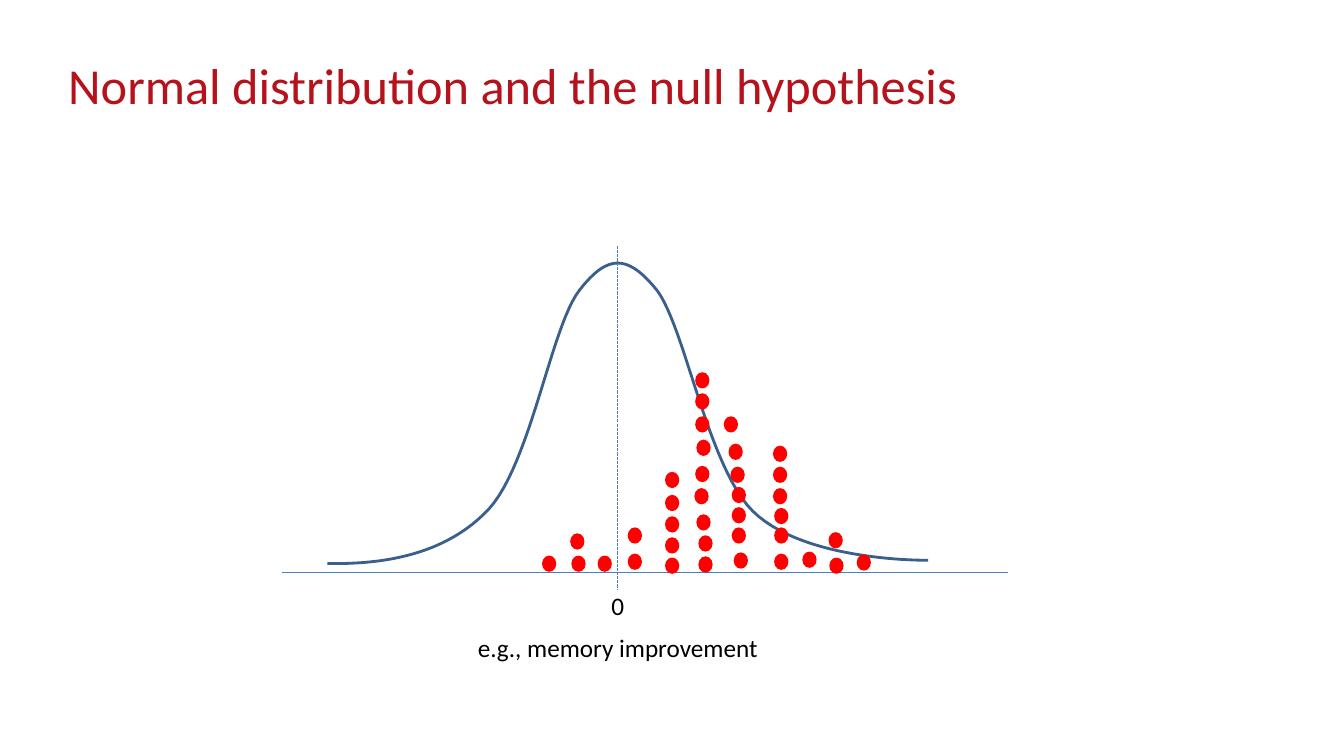
from pptx import Presentation
from pptx.dml.color import RGBColor
from pptx.enum import dml, shapes, text
from pptx.oxml.ns import qn
from pptx.util import Cm, Pt

TITLE_RED, CURVE_BLUE, AXIS_BLUE = "B5121B", "3A5F8C", "4B7EBC"
DOT_RED, BLACK = "FF0000", "000000"

# Lengths in cm, measured from the top left of the plot
AXIS_Y, ZERO_X = 8.23, 8.46
DOT_W, DOT_H = 0.36, 0.41
CURVE_START = (1.14, 8.0)
CURVE = [
    ((2.59, 8.03), (4.14, 7.77), (5.21, 6.63)),
    ((6.27, 5.46), (6.78, 2.03), (7.49, 1.12)),
    ((8.2, 0.2), (8.71, 0.2), (9.45, 1.12)),
    ((10.16, 2.06), (10.72, 5.54), (11.86, 6.68)),
    ((13.0, 7.8), (15.49, 7.92), (16.28, 7.92)),
]
# Left edge of the dots: their top edges
DOTS = {
    6.55: [7.8],
    7.26: [7.24], 7.29: [7.8],
    7.95: [7.8],
    8.71: [7.09, 7.75],
    9.65: [5.69, 6.27, 6.81, 7.34, 7.85],
    10.39: [6.1],
    10.41: [3.18, 3.71, 4.29, 5.54],
    10.44: [4.88, 6.76],
    10.49: [7.29, 7.82],
    11.13: [4.29], 11.25: [4.98], 11.3: [5.56],
    11.33: [6.07, 6.58, 7.09],
    11.38: [7.72],
    12.37: [5.03, 5.56, 6.1],
    12.4: [6.6, 7.09, 7.75],
    13.11: [7.7],
    13.77: [7.21], 13.79: [7.85],
    14.48: [7.77],
}


def rgb(color):
    return RGBColor.from_string(color)


def add_text(slide, box, words, size, color, wrap=False):
    sp = slide.shapes.add_textbox(*map(Cm, box))
    tf = sp.text_frame
    tf.word_wrap = wrap
    p = tf.paragraphs[0]
    p.text = words
    p.font.name, p.font.size = "Calibri", Pt(size)
    p.font.color.rgb = rgb(color)
    return p


def add_title(slide, box, words):
    p = add_text(slide, box, words, 36, TITLE_RED, wrap=True)
    p.line_spacing = Pt(35)


def add_label(slide, center, top, width, words):
    p = add_text(slide, (center - width / 2, top, width, 1.02), words, 18, BLACK)
    p.alignment = text.PP_ALIGN.CENTER


def add_line(slide, x1, y1, x2, y2, dash=None):
    line = slide.shapes.add_connector(
        shapes.MSO_CONNECTOR.STRAIGHT, *map(Cm, (x1, y1, x2, y2)))
    line.line.color.rgb = rgb(AXIS_BLUE)
    line.line.width = Pt(0.75)
    line.line.dash_style = dash
    sp_pr = line._element.spPr
    sp_pr.append(sp_pr.makeelement(qn("a:effectLst"), {}))


def bezier(p0, p1, p2, p3, steps=24):
    """Return points along a cubic curve, without its first point."""
    points = []
    for i in range(1, steps + 1):
        t = i / steps
        weights = ((1 - t) ** 3, 3 * t * (1 - t) ** 2, 3 * t * t * (1 - t), t ** 3)
        points.append(tuple(sum(w * c for w, c in zip(weights, axis))
                            for axis in zip(p0, p1, p2, p3)))
    return points


def add_bell_curve(slide, left, top):
    points = [CURVE_START]
    for controls in CURVE:
        points += bezier(points[-1], *controls)
    start, *rest = [(Cm(left + x), Cm(top + y)) for x, y in points]
    builder = slide.shapes.build_freeform(*start)
    builder.add_line_segments(rest, close=False)
    sp = builder.convert_to_shape()
    sp.shadow.inherit = False
    sp.fill.background()
    sp.line.color.rgb = rgb(CURVE_BLUE)
    sp.line.width = Pt(2)


def add_dot(slide, x, y):
    sp = slide.shapes.add_shape(
        shapes.MSO_SHAPE.OVAL, Cm(x), Cm(y), Cm(DOT_W), Cm(DOT_H))
    sp.shadow.inherit = False
    sp.fill.solid()
    sp.fill.fore_color.rgb = rgb(DOT_RED)
    sp.line.fill.background()


def add_plot(slide, left, top, width, height):
    zero, axis = left + ZERO_X, top + AXIS_Y
    add_bell_curve(slide, left, top)
    add_line(slide, left, axis, left + width, axis)
    add_line(slide, zero, top, zero, top + height, dml.MSO_LINE.SQUARE_DOT)
    add_label(slide, zero, axis + 0.33, 0.84, "0")
    add_label(slide, zero, axis + 1.37, 7.65, "e.g., memory improvement")
    for x, tops in DOTS.items():
        for y in tops:
            add_dot(slide, left + x, top + y)


def main():
    prs = Presentation()
    prs.slide_width, prs.slide_height = Cm(33.87), Cm(19.05)
    slide = prs.slides.add_slide(prs.slide_layouts[6])
    add_title(slide, (1.47, 1.52, 25.07, 3.2),
              "Normal distribution and the null hypothesis")
    add_plot(slide, 7.11, 6.2, 18.29, 8.64)
    prs.save("out.pptx")


if __name__ == "__main__":
    main()
